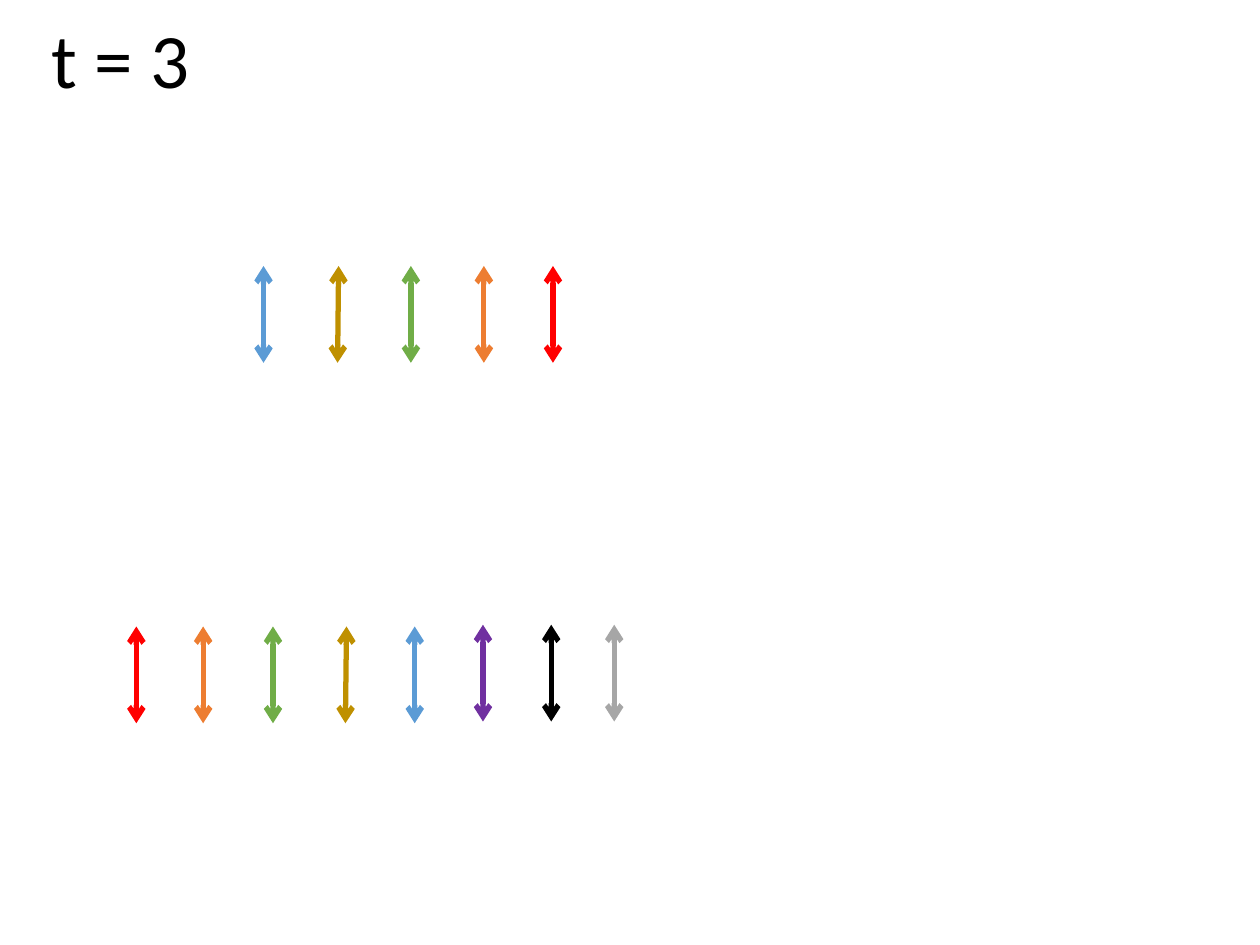
"""Build the t = 3 slide with two rows of coloured double-headed arrows."""
from lxml import etree
from pptx import Presentation
from pptx.dml.color import RGBColor
from pptx.enum.shapes import MSO_CONNECTOR
from pptx.enum.text import MSO_ANCHOR, PP_ALIGN
from pptx.oxml.ns import qn
from pptx.util import Pt

STRAIGHT = MSO_CONNECTOR.STRAIGHT
MIDDLE = MSO_ANCHOR.MIDDLE
LEFT = PP_ALIGN.LEFT

BLACK = RGBColor(0x00, 0x00, 0x00)
RED = RGBColor(0xFF, 0x00, 0x00)
ORANGE = RGBColor(0xED, 0x7D, 0x31)
GREEN = RGBColor(0x70, 0xAD, 0x47)
GOLD = RGBColor(0xBF, 0x90, 0x00)
BLUE = RGBColor(0x5B, 0x9B, 0xD5)
PURPLE = RGBColor(0x70, 0x30, 0xA0)
GRAY = RGBColor(0xA6, 0xA6, 0xA6)

ARROW_HEIGHT = 55.3
GOLD_LEAN = 0.6
ROWS = [
    (152, [(150.6, BLUE), (193.5, GOLD), (234.8, GREEN), (276.5, ORANGE), (316, RED)]),
    (358, [(77.9, RED), (116.1, ORANGE), (156, GREEN), (198, GOLD), (237, BLUE)]),
    (357, [(276, PURPLE), (315, BLACK), (351, GRAY)]),
]

deck = Presentation()
deck.slide_width, deck.slide_height = Pt(720), Pt(540)
page = deck.slides.add_slide(deck.slide_layouts[5])

title = page.shapes.title
title.left, title.top, title.width, title.height = Pt(22.3), Pt(7.2), Pt(620.6), Pt(58.3)
title.text_frame.text = "t = 3"
title.text_frame.vertical_anchor = MIDDLE
para = title.text_frame.paragraphs[0]
para.alignment = LEFT
para.line_spacing = 0.9
span = para.runs[0]
span.font.name = "Calibri"
span.font.size = Pt(44)
span.font.color.rgb = BLACK

for top, arrows in ROWS:
    for x, color in arrows:
        foot = x - GOLD_LEAN if color == GOLD else x
        arrow = page.shapes.add_connector(
            STRAIGHT, Pt(x), Pt(top), Pt(foot), Pt(top + ARROW_HEIGHT)
        )
        arrow.line.color.rgb = color
        arrow.line.width = Pt(3)
        outline = arrow.line._get_or_add_ln()
        for end in ("a:headEnd", "a:tailEnd"):
            etree.SubElement(outline, qn(end), type="arrow")
        etree.SubElement(arrow._element.spPr, qn("a:effectLst"))

deck.save("out.pptx")
